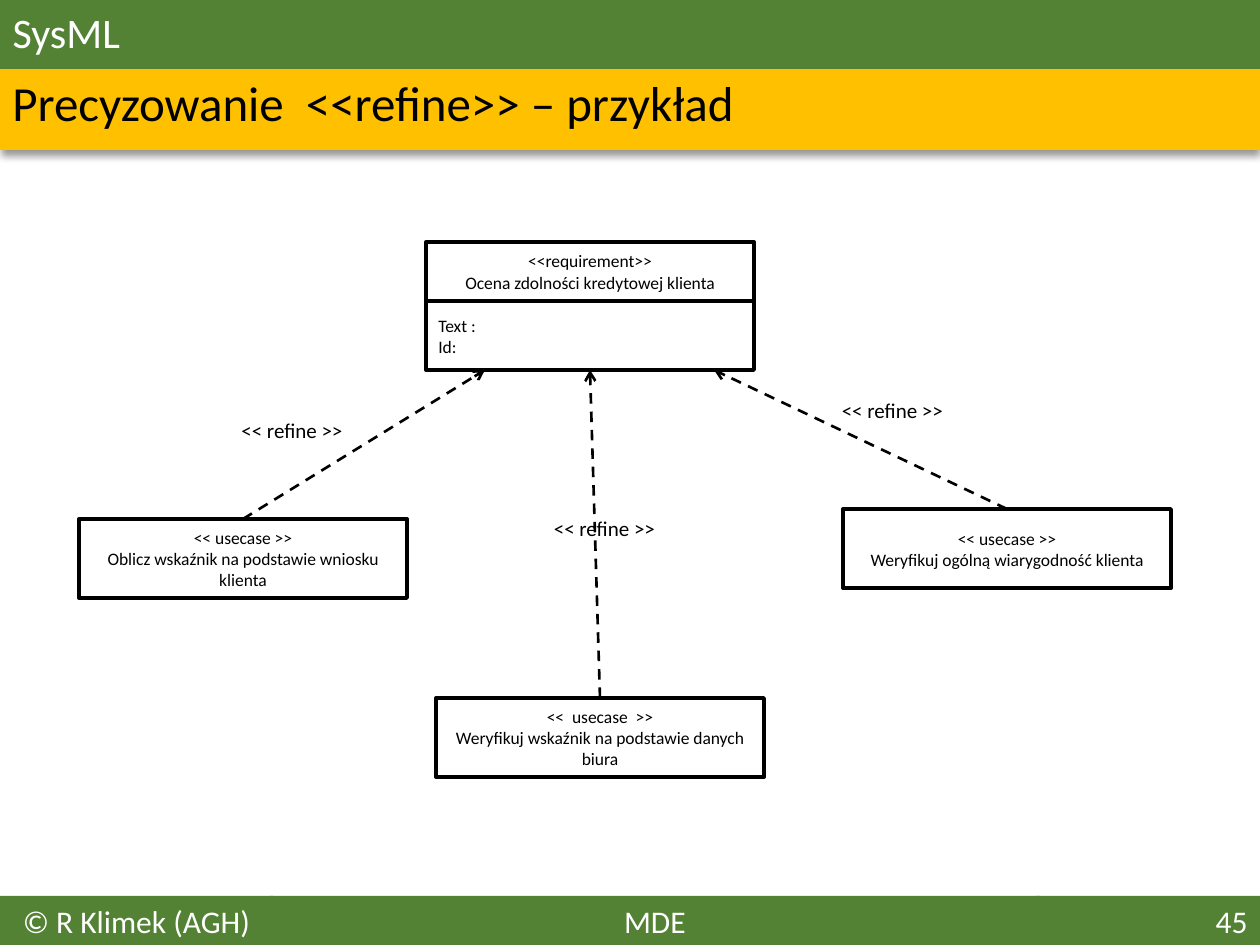
from lxml import etree
from pptx import Presentation
from pptx.dml.color import RGBColor
from pptx.enum.dml import MSO_LINE
from pptx.enum.shapes import MSO_CONNECTOR, MSO_SHAPE
from pptx.enum.text import MSO_ANCHOR, MSO_AUTO_SIZE, PP_ALIGN
from pptx.oxml import parse_xml
from pptx.oxml.ns import nsdecls, qn
from pptx.util import Pt

EMU_PER_PX = 914400 / 126
LEFT, CENTER, RIGHT = PP_ALIGN.LEFT, PP_ALIGN.CENTER, PP_ALIGN.RIGHT
TOP, MIDDLE = MSO_ANCHOR.TOP, MSO_ANCHOR.MIDDLE
NO_FIT, GROW = MSO_AUTO_SIZE.NONE, MSO_AUTO_SIZE.SHAPE_TO_FIT_TEXT
RECTANGLE, STRAIGHT, DASH = MSO_SHAPE.RECTANGLE, MSO_CONNECTOR.STRAIGHT, MSO_LINE.DASH
TOP_SITE, BOTTOM_SITE = 0, 2
TITLE_ONLY = 5


def px(*lengths):
    return [round(length * EMU_PER_PX) for length in lengths]


def color(hex_code):
    return RGBColor.from_string(hex_code)


def write(shape, text, size, ink="000000", align=LEFT, anchor=MIDDLE,
          fit=NO_FIT, spacing=None):
    """Fill a shape with text, one paragraph per line."""
    frame = shape.text_frame
    frame.word_wrap = True
    frame.auto_size = fit
    frame.vertical_anchor = anchor
    frame.text = text
    for para in frame.paragraphs:
        para.alignment = align
        if spacing:
            para.line_spacing = spacing
        for span in para.runs:
            span.font.name = Style.font
            span.font.size = Pt(size)
            span.font.color.rgb = color(ink)


class Style:
    font = "Calibri"
    green, yellow, white, black = "548235", "FFC000", "FFFFFF", "000000"

    def __init__(self, page):
        self.page = page

    def title(self, text, box):
        title = self.page.shapes.title
        title.left, title.top, title.width, title.height = px(*box)
        title.fill.solid()
        title.fill.fore_color.rgb = color(self.green)
        write(title, text, 24, self.white, spacing=0.9)

    def bar(self, box, fill):
        bar = self.page.shapes.add_shape(RECTANGLE, *px(*box))
        bar.shadow.inherit = False
        bar.fill.solid()
        bar.fill.fore_color.rgb = color(fill)
        bar.line.fill.background()
        return bar

    def drop_shadow(self, shape):
        effects = shape._element.spPr.find(qn("a:effectLst"))
        effects.append(parse_xml(
            f'<a:outerShdw {nsdecls("a")} blurRad="{Pt(4)}" dist="{Pt(3)}" '
            f'dir="5400000" algn="t" rotWithShape="0"><a:srgbClr val="{self.black}">'
            '<a:alpha val="40000"/></a:srgbClr></a:outerShdw>'))

    def footer(self, text, box, align):
        write(self.bar(box, self.green), text, 18, self.white, align, TOP)

    def text(self, text, box, size, **text_format):
        write(self.page.shapes.add_textbox(*px(*box)), text, size, **text_format)

    def node(self, text, box, align=CENTER):
        node = self.page.shapes.add_shape(RECTANGLE, *px(*box))
        node.shadow.inherit = False
        node.fill.background()
        node.line.color.rgb = color(self.black)
        node.line.width = Pt(2.25)
        write(node, text, 10, align=align)
        return node

    def dependency(self, source, tip, target=None):
        """Dashed arrow from the top of source to tip, or to the foot of target."""
        arrow = self.page.shapes.add_connector(STRAIGHT, 0, 0, *px(*tip))
        arrow.begin_connect(source, TOP_SITE)
        if target is not None:
            arrow.end_connect(target, BOTTOM_SITE)
        arrow.line.color.rgb = color(self.black)
        arrow.line.width = Pt(1.5)
        arrow.line.dash_style = DASH
        etree.SubElement(arrow.line._get_or_add_ln(), qn("a:tailEnd"), type="arrow")
        etree.SubElement(arrow._element.spPr, qn("a:effectLst"))


def main():
    deck = Presentation()
    deck.slide_width, deck.slide_height = px(1260, 945)
    style = Style(deck.slides.add_slide(deck.slide_layouts[TITLE_ONLY]))

    # Header
    style.title("SysML", (0, 0, 1260, 69))
    style.drop_shadow(style.bar((0, 69, 1260, 81), style.yellow))
    style.text("Precyzowanie  <<refine>> – przykład", (0, 69, 1257, 74), 28, spacing=0.9)

    # Footer
    style.footer("MDE", (270, 896, 770, 49), CENTER)
    style.footer("© R Klimek (AGH)", (0, 896, 273, 49), CENTER)
    style.footer("45", (1036, 896, 224, 49), RIGHT)

    # Requirement
    node_width, case_height, foot = 328, 79, 370
    style.node("<<requirement>>\nOcena zdolności kredytowej klienta",
               (426, 242, node_width, 59))
    requirement = style.node("Text :\nId:", (426, 301, node_width, foot - 301), LEFT)

    # Use cases: text, left, top, arrow tip, arrow target, label box
    use_cases = [
        ("<< usecase >>\nOblicz wskaźnik na podstawie wniosku klienta",
         79, 519, 485, None, (168, 411, 248, 38)),
        ("<<  usecase  >>\nWeryfikuj wskaźnik na podstawie danych biura",
         436, 698, 590, requirement, (515, 509, 179, 38)),
        ("<< usecase >>\nWeryfikuj ogólną wiarygodność klienta",
         843, 509, 714, None, (803, 391, 179, 38)),
    ]
    for text, left, top, tip, target, label_box in use_cases:
        use_case = style.node(text, (left, top, node_width, case_height))
        style.dependency(use_case, (tip, foot), target)
        style.text("<< refine >>", label_box, 12, align=CENTER, anchor=TOP, fit=GROW)

    deck.save("out.pptx")


if __name__ == "__main__":
    main()
